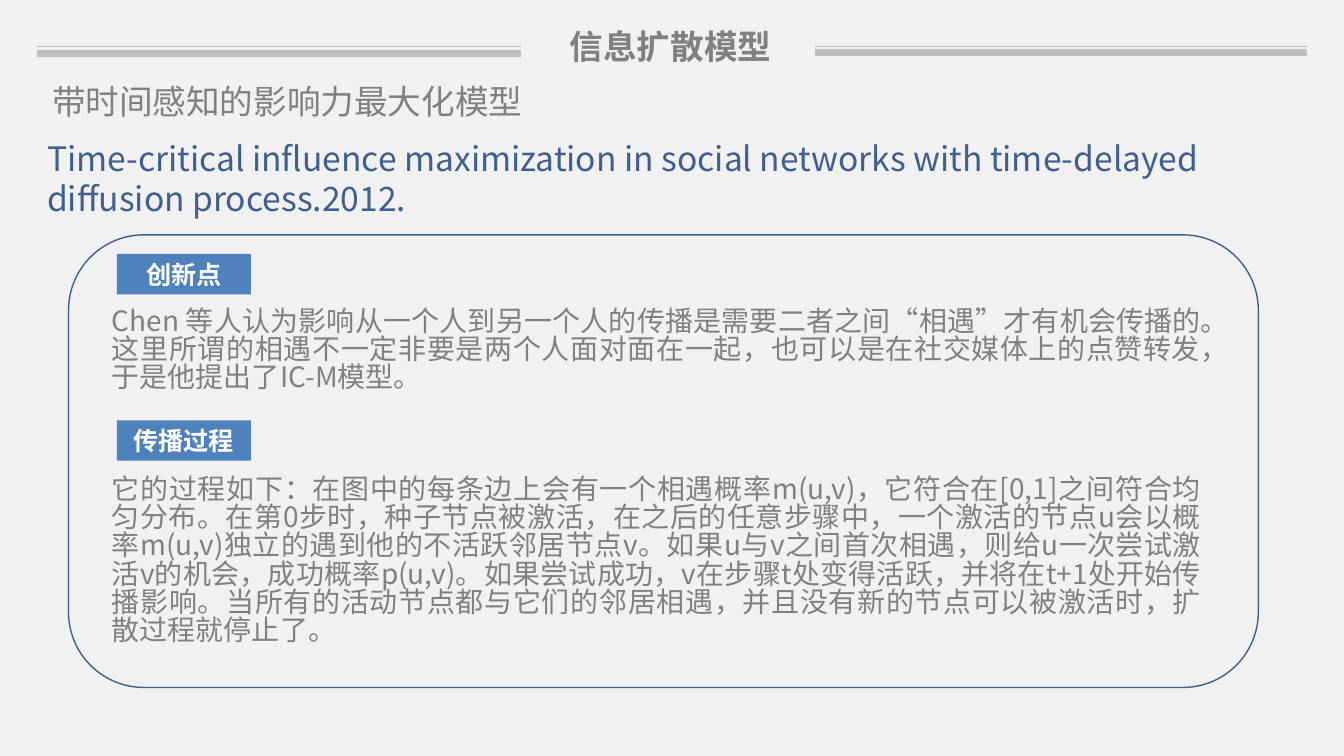
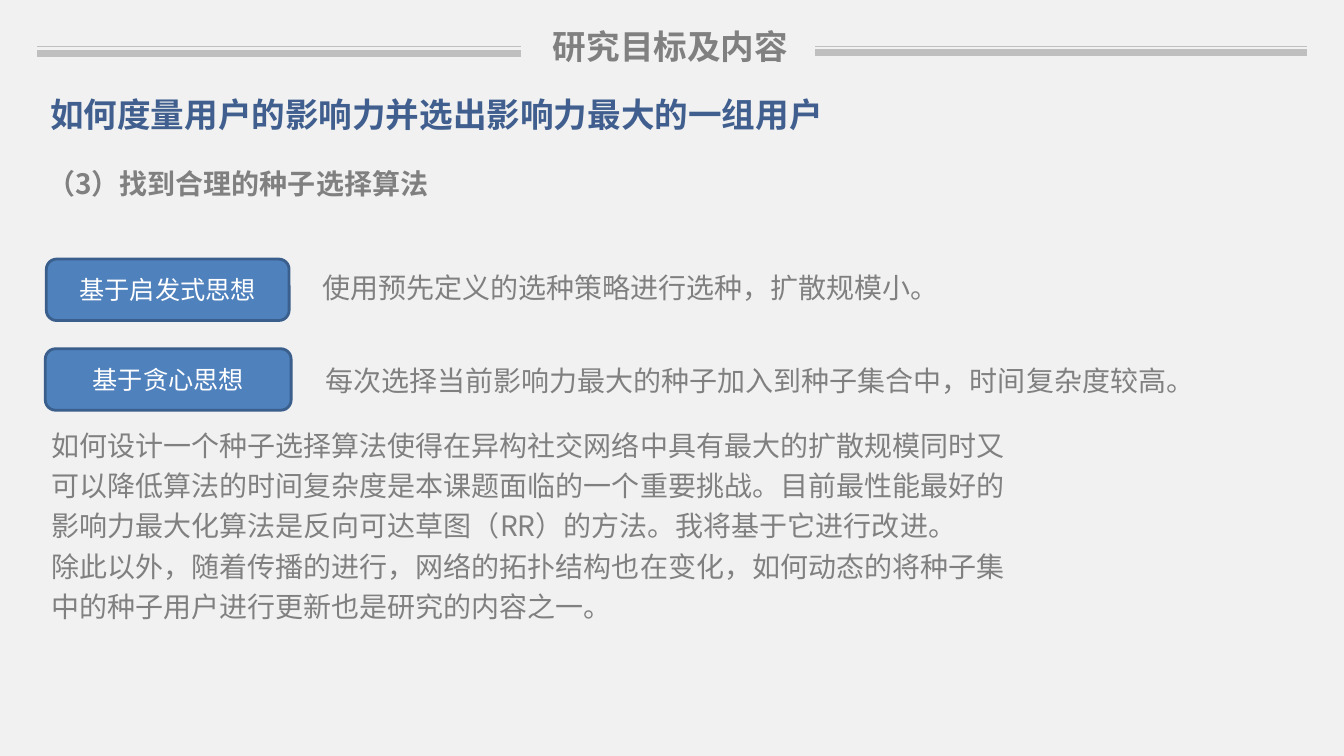
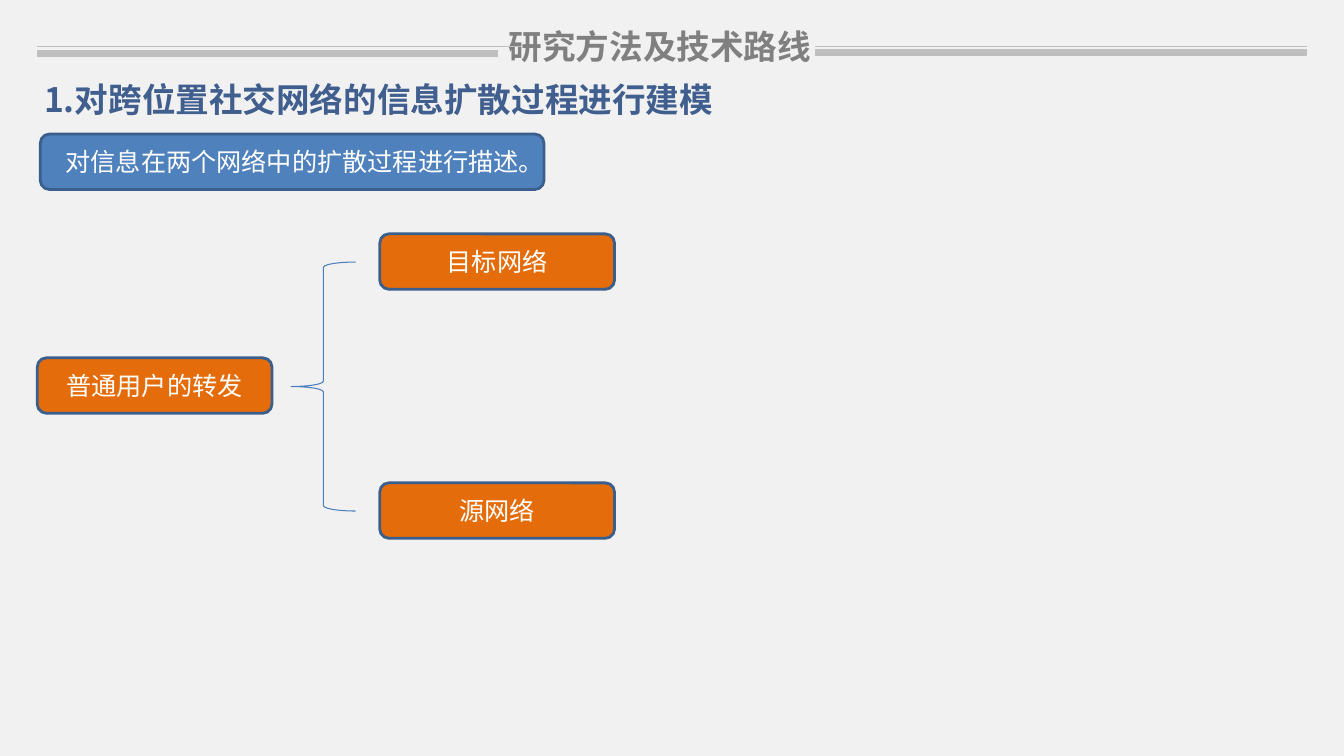
"""Build three slides on influence maximization in social networks."""
from dataclasses import dataclass

from lxml import etree
from pptx import Presentation
from pptx import util as u
from pptx.dml.color import RGBColor
from pptx.enum import shapes, text
from pptx.oxml.ns import qn


@dataclass(frozen=True)
class Theme:
    """Colours, type sizes and font of the deck."""
    font: str = "Noto Sans CJK SC"
    background: str = "F1F1F1"
    grey: str = "808080"
    rule: str = "BFBFBF"
    navy: str = "405F8F"
    blue: str = "4F81BD"
    edge: str = "3A5F8C"
    brace: str = "4B7EBC"
    orange: str = "E46C0A"
    white: str = "FFFFFF"
    heading: int = 24
    reading: int = 20
    label: int = 18


THEME = Theme()
CELL = 0.1
COLUMNS, ROWS = 133.4, 75
CENTER = text.PP_ALIGN.CENTER
JUSTIFY = text.PP_ALIGN.JUSTIFY
TOP, MIDDLE = text.MSO_ANCHOR.TOP, text.MSO_ANCHOR.MIDDLE


def cells(*counts):
    """Turn counts of grid cells into lengths."""
    return [u.Inches(count * CELL) for count in counts]


def apply(target, values):
    """Set each named attribute of the target."""
    for name, value in values.items():
        setattr(target, name, value)


class Deck:
    """Hold the theme and current slide, and draw elements on it."""

    def __init__(self, theme):
        """Start an empty presentation with the shared background."""
        self.theme = theme
        self.presentation = Presentation()
        width, height = cells(COLUMNS, ROWS)
        apply(self.presentation, {"slide_width": width, "slide_height": height})
        fill = self.presentation.slide_master.background.fill
        fill.solid()
        fill.fore_color.rgb = RGBColor.from_string(theme.background)
        self.slide = None

    def new_slide(self, title, layout=1, title_box=(52.2, 2.1, 28.7, 5), left_end=51.7):
        """Add a slide with its title and double rules on both sides."""
        layouts = self.presentation.slide_layouts
        self.slide = self.presentation.slides.add_slide(layouts[layout])
        self.place(self.slide.shapes.title, title_box)
        self.set_text(self.slide.shapes.title, [title], self.theme.heading,
                      bold=True, alignment=CENTER)
        for start, end, thick_end, thick_row in ((80.9, 129.7, 129.7, 5.2),
                                                 (3.7, 51.7, left_end, 5.3)):
            self.rule(start, end, 4.6, 0.75)
            self.rule(start, thick_end, thick_row, 4.5)

    def place(self, shape, box):
        """Move a shape to a box of grid cells."""
        apply(shape, dict(zip(("left", "top", "width", "height"), cells(*box))))

    def rule(self, start, end, row, weight):
        """Draw a horizontal rule."""
        line = self.slide.shapes.add_connector(
            shapes.MSO_CONNECTOR.STRAIGHT, *cells(start, row, end, row))
        line.line.color.rgb = RGBColor.from_string(self.theme.rule)
        line.line.width = u.Pt(weight)
        etree.SubElement(line._element.spPr, qn("a:effectLst"))

    def set_text(self, shape, paragraphs, size, color=None, bold=False, anchor=TOP,
                 wrap=True, insets=(1, 0.5), alignment=text.PP_ALIGN.LEFT,
                 spacing=1.0, last_gap=0):
        """Fill a shape with formatted paragraphs."""
        frame = shape.text_frame
        side, edge = cells(*insets)
        apply(frame, {"auto_size": text.MSO_AUTO_SIZE.NONE, "word_wrap": wrap,
                      "vertical_anchor": anchor, "margin_left": side,
                      "margin_right": side, "margin_top": edge,
                      "margin_bottom": edge})
        frame.text = "\n".join(paragraphs)
        for paragraph in frame.paragraphs:
            apply(paragraph, {"alignment": alignment, "line_spacing": spacing,
                              "space_before": u.Pt(0)})
            run = paragraph.runs[0]
            apply(run.font, {"size": u.Pt(size), "bold": bold, "name": self.theme.font})
            run.font.color.rgb = RGBColor.from_string(color or self.theme.grey)
            etree.SubElement(run.font._element, qn("a:ea"), typeface=self.theme.font)
        if last_gap:
            frame.paragraphs[-1].space_before = u.Pt(last_gap)

    def body(self, box, paragraphs, **style):
        """Fill the body placeholder with unbulleted text."""
        placeholder = self.slide.placeholders[1]
        self.place(placeholder, box)
        self.set_text(placeholder, paragraphs, self.theme.reading, **style)
        for paragraph in placeholder.text_frame.paragraphs:
            properties = paragraph._p.get_or_add_pPr()
            for name in ("marL", "indent"):
                properties.set(name, "0")
            etree.SubElement(properties, qn("a:buNone"))

    def note(self, box, words, size, **style):
        """Add a text box."""
        self.set_text(self.slide.shapes.add_textbox(*cells(*box)), [words], size, **style)

    def shape(self, kind, box, fill=None, line=None, weight=1):
        """Add a preset shape with optional fill and outline."""
        shape = self.slide.shapes.add_shape(kind, *cells(*box))
        shape.shadow.inherit = False
        for part, color in ((shape.fill, fill), (shape.line.fill, line)):
            if color:
                part.solid()
                part.fore_color.rgb = RGBColor.from_string(color)
            else:
                part.background()
        if line:
            shape.line.width = u.Pt(weight)
        return shape

    def button(self, box, words, fill):
        """Add a rounded box with a centred label."""
        shape = self.shape(shapes.MSO_SHAPE.ROUNDED_RECTANGLE, box, fill,
                           self.theme.edge, 2)
        self.set_text(shape, [words], self.theme.label, color=self.theme.white,
                      anchor=MIDDLE, alignment=CENTER)

    def tag(self, row, words):
        """Add a bold section tag."""
        shape = self.shape(shapes.MSO_SHAPE.RECTANGLE, (11.6, row, 13.3, 4),
                           self.theme.blue)
        self.set_text(shape, [words], self.theme.label, color=self.theme.white,
                      bold=True, anchor=MIDDLE, wrap=False, alignment=CENTER)


def diffusion_model(deck):
    """Build the slide on the diffusion model."""
    theme = deck.theme
    deck.new_slide("信息扩散模型")
    deck.shape(shapes.MSO_SHAPE.ROUNDED_RECTANGLE, (6.8, 23.3, 118.1, 44.9),
               line=theme.navy)
    deck.body((10.4, 30.3, 109.5, 37.2), [
        "Chen 等人认为影响从一个人到另一个人的传播是需要二者之间“相遇”才有机会传播的。",
        "这里所谓的相遇不一定非要是两个人面对面在一起，也可以是在社交媒体上的点赞转发，",
        "于是他提出了IC-M模型。",
        "它的过程如下：在图中的每条边上会有一个相遇概率m(u,v)，它符合在[0,1]之间符合"
        "均匀分布。在第0步时，种子节点被激活，在之后的任意步骤中，一个激活的节点u会"
        "以概率m(u,v)独立的遇到他的不活跃邻居节点v。如果u与v之间首次相遇，则给u一"
        "次尝试激活v的机会，成功概率p(u,v)。如果尝试成功，v在步骤t处变得活跃，并将"
        "在t+1处开始传播影响。当所有的活动节点都与它们的邻居相遇，并且没有新的节点可"
        "以被激活时，扩散过程就停止了。",
    ], insets=(0.7, 0.4), alignment=JUSTIFY, spacing=u.Pt(20), last_gap=60)
    deck.note((3.7, 13.2, 126, 9.1),
              "Time-critical influence maximization in social networks with "
              "time-delayed diffusion process.2012.", theme.heading, color=theme.navy)
    deck.note((4.1, 7.5, 48.8, 5), "带时间感知的影响力最大化模型", theme.heading,
              alignment=CENTER)
    deck.tag(25.2, "创新点")
    deck.tag(41.7, "传播过程")


def research_goal(deck):
    """Build the slide on seed selection."""
    theme = deck.theme
    deck.new_slide("研究目标及内容")
    deck.note((4, 8.8, 87, 5), "如何度量用户的影响力并选出影响力最大的一组用户",
              theme.heading, color=theme.navy, bold=True)
    deck.note((3.7, 15.4, 118.9, 5), "（3）找到合理的种子选择算法", theme.reading,
              bold=True, spacing=1.2)
    ideas = (
        ((4.6, 25.7, 24.1, 6.1), "基于启发式思想", (31, 25.7, 97.8, 4.7),
         "使用预先定义的选种策略进行选种，扩散规模小。"),
        ((4.5, 34.6, 24.4, 6.1), "基于贪心思想", (31.3, 34.9, 97.8, 4.7),
         "每次选择当前影响力最大的种子加入到种子集合中，时间复杂度较高。"),
    )
    for button_box, name, note_box, detail in ideas:
        deck.button(button_box, name, theme.blue)
        deck.note(note_box, detail, theme.reading, spacing=1.2)
    deck.body((4.1, 41.3, 97.8, 21.2), [
        "如何设计一个种子选择算法使得在异构社交网络中具有最大的扩散规模同时又"
        "可以降低算法的时间复杂度是本课题面临的一个重要挑战。目前最性能最好的"
        "影响力最大化算法是反向可达草图（RR）的方法。我将基于它进行改进。",
        "除此以外，随着传播的进行，网络的拓扑结构也在变化，如何动态的将种子集"
        "中的种子用户进行更新也是研究的内容之一。",
    ], spacing=1.2)


def research_method(deck):
    """Build the slide on cross-network diffusion."""
    theme = deck.theme
    deck.new_slide("研究方法及技术路线", layout=5, title_box=(47, 2.1, 37, 5),
                   left_end=49.4)
    deck.note((3.4, 7.3, 87, 5), "1.对跨位置社交网络的信息扩散过程进行建模",
              theme.heading, color=theme.navy, bold=True)
    deck.button((4, 13.3, 50, 5.5), "对信息在两个网络中的扩散过程进行描述。", theme.blue)
    for column, row, name in ((3.7, 35.5, "普通用户的转发"), (37.7, 23.2, "目标网络"),
                              (37.7, 47.9, "源网络")):
        deck.button((column, row, 23.3, 5.5), name, theme.orange)
    deck.shape(shapes.MSO_SHAPE.LEFT_BRACE, (28.9, 26, 6.4, 24.7), line=theme.brace,
               weight=0.75)


def main():
    """Build and save the deck."""
    deck = Deck(THEME)
    for build in (diffusion_model, research_goal, research_method):
        build(deck)
    deck.presentation.save("out.pptx")


if __name__ == "__main__":
    main()
